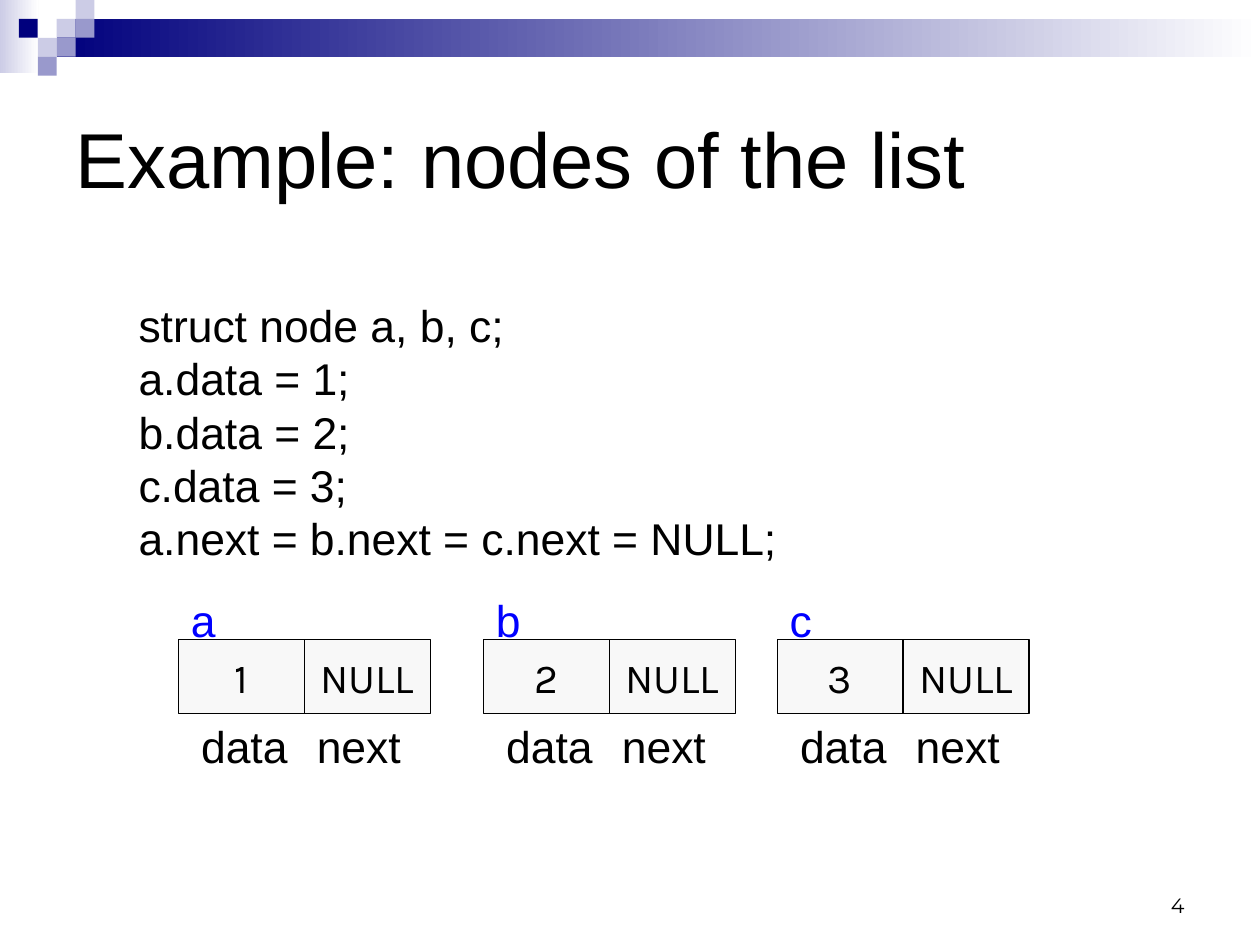
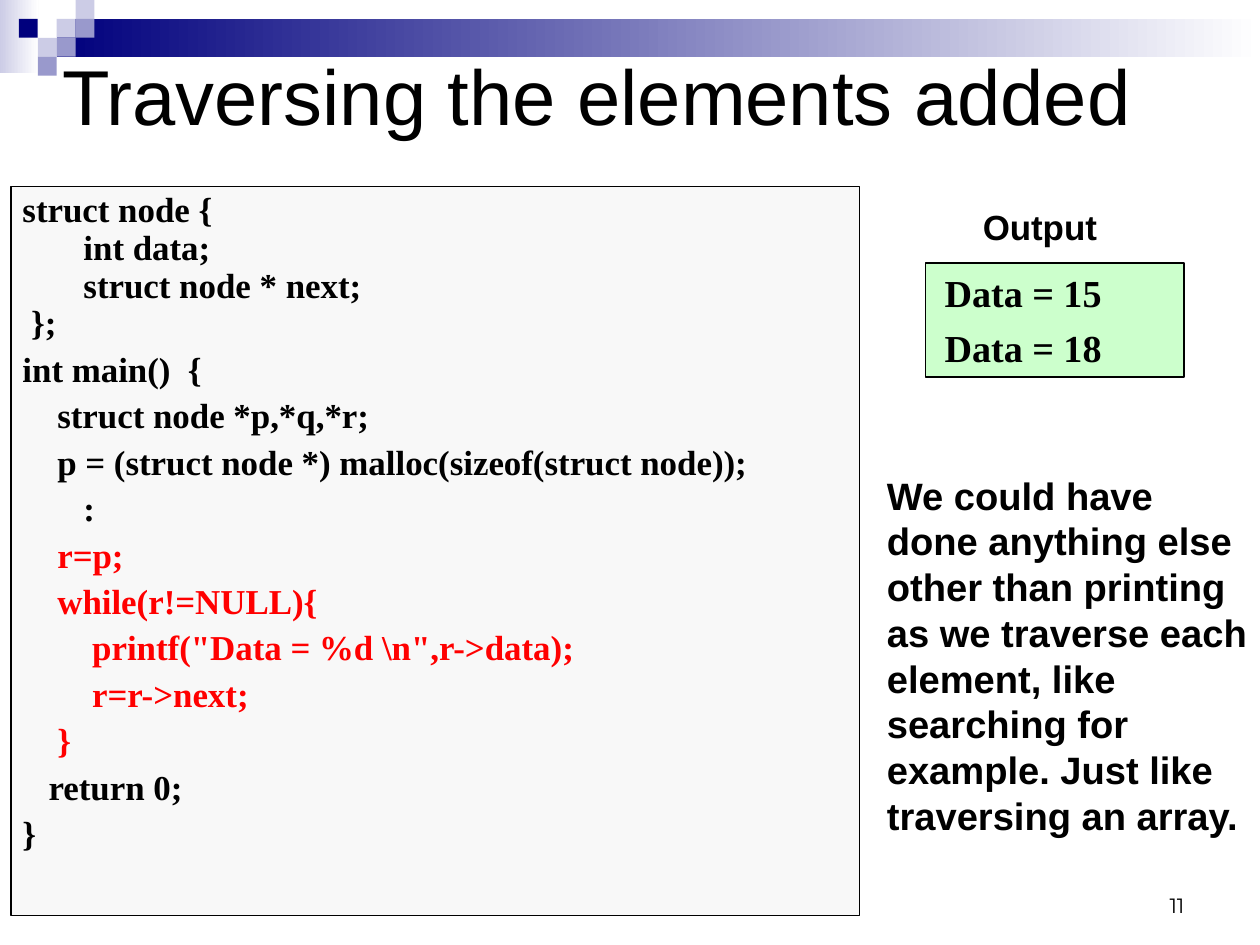
"""Builds two slides on linked lists: sample nodes and a traversal."""
from pptx import Presentation
from pptx.dml.color import RGBColor
from pptx.enum.shapes import MSO_SHAPE
from pptx.enum.text import MSO_ANCHOR, PP_ALIGN
from pptx.util import Cm, Pt

RECT = MSO_SHAPE.RECTANGLE
TOP, MIDDLE, BOTTOM = MSO_ANCHOR.TOP, MSO_ANCHOR.MIDDLE, MSO_ANCHOR.BOTTOM
LEFT, CENTER, RIGHT = PP_ALIGN.LEFT, PP_ALIGN.CENTER, PP_ALIGN.RIGHT
SANS, SERIF, CELL, FOOT = "Arial", "Times New Roman", "Karla", "Montserrat"
HUES = {
    "black": "000000", "white": "FFFFFF", "navy": "00007D",
    "mid": "9999CC", "pale": "CCCCE6", "gray": "F8F8F8",
    "green": "CCFFCC", "blue": "0000FF", "red": "FF0000",
}
WIDE, HIGH = 28, 21
PAD = (0.28, 0.14)
TILE = 0.42
TILES = [
    (3, 1, "pale"), (4, 0, "pale"), (4, 1, "mid"), (2, 2, "pale"),
    (1, 1, "navy"), (3, 2, "mid"), (2, 3, "mid"),
]
DECLS = [
    "struct node a, b, c;", "a.data = 1;", "b.data = 2;", "c.data = 3;",
    "a.next = b.next = c.next = NULL;",
]
NODES = [("a", "1", 3.96), ("b", "2", 10.74), ("c", "3", 17.27)]
HEAD = ["struct node {", "       int data;", "       struct node * next;", " };"]
BODY = [
    "int main()  {",
    "    struct node *p,*q,*r;",
    "    p = (struct node *) malloc(sizeof(struct node));",
    "       :",
]
LOOP = [
    "    r=p;",
    "    while(r!=NULL){",
    r'        printf("Data = %d \n",r->data);',
    "        r=r->next;",
    "    }",
]
TAIL = ["   return 0;", "}"]
NOTE = (
    "We could have done anything else other than printing as we traverse "
    "each element, like searching for example. Just like traversing an array."
)


def color(name):
    """Return the named colour."""
    return RGBColor.from_string(HUES[name])


def rows(lines, hue="black", gap=0):
    """Pair each line with its colour and the space before it."""
    return [(line, hue, gap) for line in lines]


def write(shape, lines, size, font=SANS, bold=False, align=LEFT,
          anchor=TOP, pad=PAD, lead=None):
    """Fill a shape with styled paragraphs."""
    frame = shape.text_frame
    frame.word_wrap = True
    frame.vertical_anchor = anchor
    frame.margin_left = frame.margin_right = Cm(pad[0])
    frame.margin_top = frame.margin_bottom = Cm(pad[1])
    for i, (text, hue, gap) in enumerate(lines):
        para = frame.add_paragraph() if i else frame.paragraphs[0]
        para.alignment = align
        para.space_before = Pt(gap)
        if lead:
            para.line_spacing = lead
        run = para.add_run()
        run.text = text
        run.font.name = font
        run.font.size = Pt(size)
        run.font.bold = bold
        run.font.color.rgb = color(hue)


def label(slide, at, lines, size, **style):
    """Add a text box."""
    write(slide.shapes.add_textbox(*map(Cm, at)), lines, size, **style)


def block(parent, at, hue, fade=None, line=None):
    """Add a rectangle with a plain or fading fill."""
    shape = parent.shapes.add_shape(RECT, *map(Cm, at))
    shape.shadow.inherit = False
    if fade:
        shape.fill.gradient()
        shape.fill.gradient_angle = 0
        for stop, name in zip(shape.fill.gradient_stops, (hue, fade)):
            stop.color.rgb = color(name)
    else:
        shape.fill.solid()
        shape.fill.fore_color.rgb = color(hue)
    if line:
        shape.line.color.rgb = color("black")
        shape.line.width = Pt(line)
    else:
        shape.line.fill.background()
    return shape


def page(deck, title, left, top, number):
    """Add a slide with the shared band, title and number."""
    slide = deck.slides.add_slide(deck.slide_layouts[6])
    band = slide.shapes.add_group_shape()
    block(band, (0, 0, 0.86, 1.63), "pale", fade="white")
    block(band, (3 * TILE, TILE, WIDE - 3 * TILE, 2 * TILE), "navy", fade="white")
    for col, row, hue in TILES:
        block(band, (col * TILE, row * TILE, TILE, TILE), hue)
    label(slide, (20.07, 19.13, 6.53, 1.4), rows([number]), 13,
          font=FOOT, align=RIGHT, anchor=BOTTOM)
    label(slide, (left, top, 25.2, 4.2), rows([title]), 49, anchor=MIDDLE)
    return slide


def node(slide, name, value, left):
    """Draw one list node with its name and field labels."""
    width, top, high = 2.8, 14.22, 1.63
    for i, text in enumerate((value, "NULL")):
        cell = block(slide, (left + i * width, top, width, high), "gray", line=0.75)
        write(cell, rows([text]), 26, font=CELL, align=CENTER,
              anchor=MIDDLE, pad=(0, 0.14))
    for text, shift in (("data", 0.23), ("next", width)):
        label(slide, (left + shift, 15.83, width, 1.47), rows([text]), 28)
    label(slide, (left, 13.03, 1.12, 1.47), rows([name], "blue"), 28)


def nodes(deck):
    """Build the slide with three nodes."""
    slide = page(deck, "Example: nodes of the list", 1.4, 1.4, "4")
    label(slide, (2.8, 6.48, 16, 6.22), rows(DECLS), 28)
    for name, value, left in NODES:
        node(slide, name, value, left)


def walk(deck):
    """Build the slide with the traversal code."""
    slide = page(deck, "Traversing the elements added", 1.1, 0, "11")
    code = block(slide, (0.25, 4.15, 18.85, 16.2), "gray", line=1)
    lines = (rows(HEAD) + rows(BODY, gap=5.5) + rows(LOOP, "red", 5.5)
             + rows(TAIL, gap=5.5))
    write(code, lines, 22, font=SERIF, bold=True, pad=(0.25, 0.13), lead=0.9)
    label(slide, (21.84, 4.57, 3.2, 0.94), rows(["Output"]), 22,
          bold=True, pad=(0, 0))
    out = block(slide, (20.57, 5.84, 5.74, 2.54), "green", line=1)
    write(out, rows(["Data = 15"]) + rows(["Data = 18"], gap=6), 24,
          font=SERIF, bold=True, anchor=MIDDLE, pad=(0.42, 0))
    label(slide, (19.71, 10.49, 8.08, 8.13), rows([NOTE]), 24,
          bold=True, pad=(0, 0))


def main():
    """Build and save the deck."""
    deck = Presentation()
    deck.slide_width, deck.slide_height = Cm(WIDE), Cm(HIGH)
    nodes(deck)
    walk(deck)
    deck.save("out.pptx")


if __name__ == "__main__":
    main()
